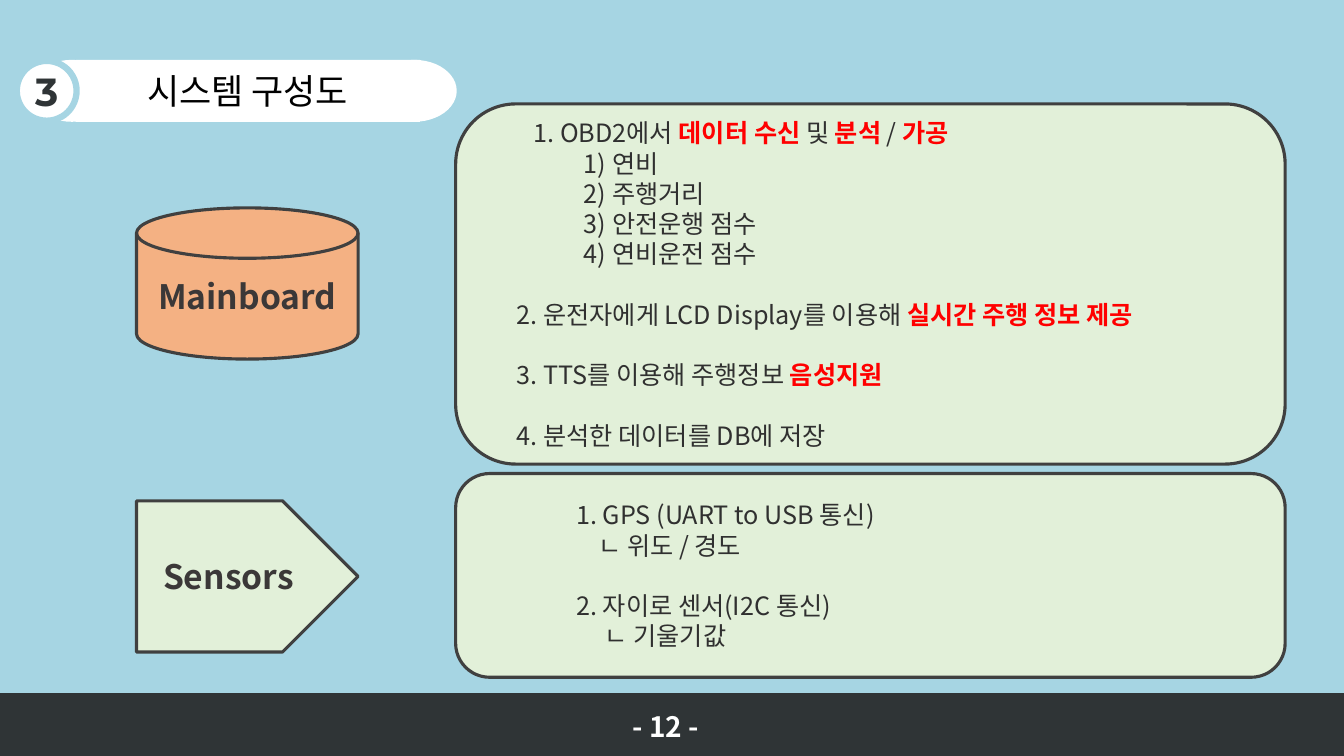
from lxml.etree import SubElement
from pptx import Presentation
from pptx.dml.color import RGBColor
from pptx.enum.shapes import MSO_SHAPE
from pptx.enum.text import MSO_ANCHOR, PP_ALIGN
from pptx.oxml.ns import qn
from pptx.util import Pt

PX = 9525
SANS = "Noto Sans CJK KR"
INK, RED, EDGE, DARK = "303030", "FF0000", "404040", "2F3436"
WHITE, SKY, MINT, PEACH = "FFFFFF", "A6D5E3", "E2F0D9", "F4B183"
LABEL = "3B3838"

TASKS = [
    (48, False, [("1. OBD2에서 ", INK), ("데이터 수신 ", RED), ("및 ", INK),
                 ("분석", RED), (" / ", INK), ("가공", RED)]),
    (96, False, [("1) 연비", INK)]),
    (96, False, [("2) 주행거리", INK)]),
    (96, False, [("3) 안전운행 점수", INK)]),
    (96, False, [("4) 연비운전 점수", INK)]),
    (32, True, [("2. 운전자에게 LCD Display를 이용해 ", INK),
                ("실시간 주행 정보 제공", RED)]),
    (32, True, [("3. TTS를 이용해 주행정보 ", INK), ("음성지원", RED)]),
    (32, True, [("4. 분석한 데이터를 DB에 저장", INK)]),
]
INPUTS = [
    (96, False, [("1. GPS (UART to USB 통신)", INK)]),
    (117, False, [("ㄴ 위도 / 경도", INK)]),
    (96, True, [("2. 자이로 센서(I2C 통신)", INK)]),
    (123, False, [("ㄴ 기울기값", INK)]),
]


def px(*nums):
    return [n * PX for n in nums]


def paint(target, color):
    target.solid()
    target.fore_color.rgb = RGBColor.from_string(color)


def add_run(para, text, size, color, bold=False, face=SANS):
    run = para.add_run()
    run.text = text
    font = run.font
    font.size, font.bold, font.name = Pt(size), bold, face
    paint(font.fill, color)
    SubElement(run.font._element, qn("a:ea"), typeface=face)


def add_form(slide, kind, box, fill, line=None, width=2.25):
    form = slide.shapes.add_shape(kind, *px(*box))
    form.shadow.inherit = False
    paint(form.fill, fill)
    if line:
        paint(form.line.fill, line)
        form.line.width = Pt(width)
    else:
        form.line.fill.background()
    return form


def add_label(form, text, size, color, bold=True, face=SANS, align=PP_ALIGN.CENTER):
    frame = form.text_frame
    frame.vertical_anchor = MSO_ANCHOR.MIDDLE
    frame.word_wrap = False
    para = frame.paragraphs[0]
    para.alignment = align
    para.line_spacing = Pt(size * 1.2)
    add_run(para, text, size, color, bold, face)


def add_list(form, rows, size=18):
    frame = form.text_frame
    frame.word_wrap = True
    frame.vertical_anchor = MSO_ANCHOR.MIDDLE
    pitch = Pt(size * 1.2)
    for i, (left, gap, parts) in enumerate(rows):
        para = frame.add_paragraph() if i else frame.paragraphs[0]
        para.alignment = PP_ALIGN.LEFT
        para.line_spacing = pitch
        if gap:
            para.space_before = pitch
        para._p.get_or_add_pPr().set("marL", str(left * PX))
        for text, color in parts:
            add_run(para, text, size, color, color == RED)


def add_title(slide, number, text):
    for left in (354, 28):
        add_form(slide, MSO_SHAPE.OVAL, (left, 57, 81, 59), WHITE)
    bar = add_form(slide, MSO_SHAPE.RECTANGLE, (72, 57, 328, 59), WHITE)
    add_label(bar, text, 25, "000000", False)
    badge = add_form(slide, MSO_SHAPE.OVAL, (16, 58, 57, 57), WHITE, SKY, 4.5)
    add_label(badge, number, 28, DARK, face="Montserrat")


def add_foot(slide, text):
    add_form(slide, MSO_SHAPE.RECTANGLE, (0, 661, 1280, 59), DARK, DARK, 1)
    note = slide.shapes.add_textbox(*px(593, 671, 94, 42))
    add_label(note, text, 20, WHITE, align=PP_ALIGN.LEFT)
    note.text_frame.vertical_anchor = MSO_ANCHOR.TOP


def add_part(slide, kind, top, fill, name, box, rows):
    form = add_form(slide, kind, (130, top, 211, 144), fill, EDGE)
    add_label(form, name, 24, LABEL)
    panel = add_form(slide, MSO_SHAPE.ROUNDED_RECTANGLE, box, MINT, EDGE)
    add_list(panel, rows)


def main():
    deck = Presentation()
    deck.slide_width, deck.slide_height = px(1280, 720)
    slide = deck.slides.add_slide(deck.slide_layouts[6])
    paint(slide.background.fill, SKY)
    add_title(slide, "3", "시스템 구성도")
    add_foot(slide, "- 12 -")
    add_part(slide, MSO_SHAPE.FLOWCHART_MAGNETIC_DISK, 198, PEACH, "Mainboard",
             (434, 99, 790, 343), TASKS)
    add_part(slide, MSO_SHAPE.PENTAGON, 477, MINT, "Sensors",
             (434, 451, 790, 194), INPUTS)
    deck.save("out.pptx")


if __name__ == "__main__":
    main()
